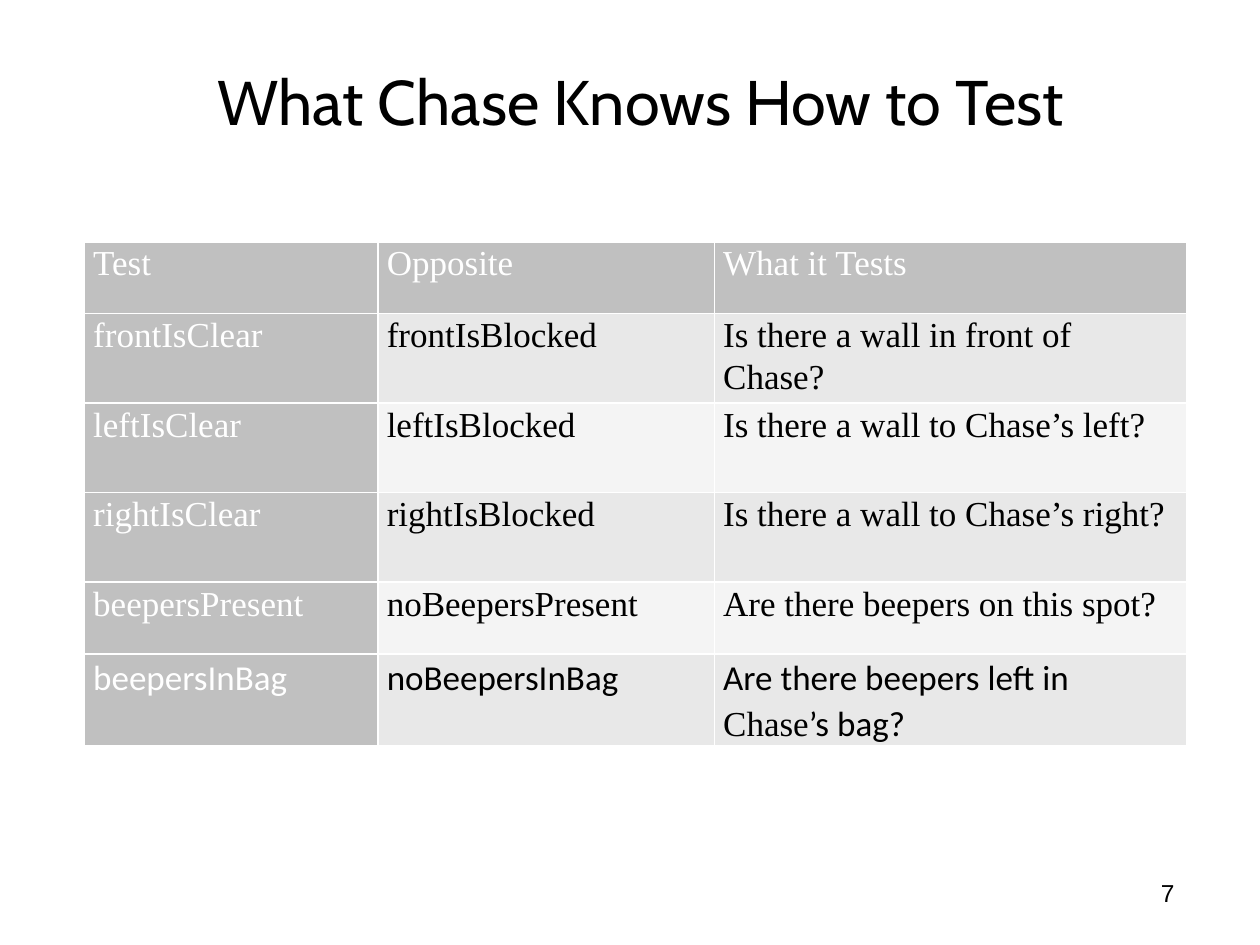
from lxml import etree
from pptx import Presentation
from pptx.dml.color import RGBColor
from pptx.enum.shapes import MSO_SHAPE
from pptx.enum.text import MSO_ANCHOR, PP_ALIGN
from pptx.oxml.ns import qn
from pptx.util import Inches, Pt

ROUND = MSO_SHAPE.ROUNDED_RECTANGLE
MID = MSO_ANCHOR.MIDDLE
CENTER, RIGHT = PP_ALIGN.CENTER, PP_ALIGN.RIGHT
COLORS = {"ink": "000000", "white": "FFFFFF", "head": "C0C0C0",
          "odd": "E8E8E8", "even": "F4F4F4"}
SERIF, SANS = "Times New Roman", "Calibri"

COLS = [2.33, 2.67, 3.75]
HEIGHTS = [0.57, 0.71, 0.71, 0.71, 0.57, 0.71]
# Each cell is a text, or a list of (text, font) runs
ROWS = [
    ["Test", "Opposite", "What it Tests"],
    ["frontIsClear", "frontIsBlocked", "Is there a wall in front of Chase?"],
    ["leftIsClear", "leftIsBlocked", "Is there a wall to Chase’s left?"],
    ["rightIsClear", "rightIsBlocked", "Is there a wall to Chase’s right?"],
    ["beepersPresent", "noBeepersPresent", "Are there beepers on this spot?"],
    [[("beepersInBag", SANS)], [("noBeepersInBag", SANS)],
     [("Are there beepers left in ", SANS), ("Chase", SERIF),
      ("’s bag?", SANS)]],
]


def rgb(name):
    return RGBColor.from_string(COLORS[name])


def style(run, font, size, color):
    run.font.name = font
    run.font.size = Pt(size)
    run.font.bold = False
    run.font.color.rgb = rgb(color)


def set_line(shape, text, font, size, align):
    frame = shape.text_frame
    frame.word_wrap = True
    frame.text = text
    para = frame.paragraphs[0]
    para.alignment = align
    style(para.runs[0], font, size, "ink")


def add_title(slide, box):
    shape = slide.shapes.add_shape(ROUND, *map(Inches, box))
    shape.shadow.inherit = False
    shape.fill.background()
    shape.line.fill.background()
    shape.text_frame.vertical_anchor = MID
    set_line(shape, "What Chase Knows How to Test", "Cabin", 36, CENTER)
    # Keep the text area as wide as the box
    shape.adjustments[0] = 0


def add_number(slide, box):
    shape = slide.shapes.add_textbox(*map(Inches, box))
    set_line(shape, "7", "Arial", 14, RIGHT)


def add_edges(cell):
    props = cell._tc.get_or_add_tcPr()
    for tag in ("lnL", "lnR", "lnT", "lnB"):
        line = etree.SubElement(props, qn(f"a:{tag}"), w=str(Pt(1)))
        fill = etree.SubElement(line, qn("a:solidFill"))
        etree.SubElement(fill, qn("a:srgbClr"), val=COLORS["white"])


def fill_cell(cell, item, back, color):
    cell.margin_left = cell.margin_right = Inches(0.07)
    cell.margin_top = cell.margin_bottom = 0
    add_edges(cell)
    cell.fill.solid()
    cell.fill.fore_color.rgb = rgb(back)
    para = cell.text_frame.paragraphs[0]
    para.line_spacing = 1.07
    for text, font in [(item, SERIF)] if isinstance(item, str) else item:
        run = para.add_run()
        run.text = text
        style(run, font, 20, color)


def add_tests(slide, box):
    table = slide.shapes.add_table(len(ROWS), len(COLS),
                                   *map(Inches, box)).table
    for col, width in zip(table.columns, COLS):
        col.width = Inches(width)
    for r, (row, height) in enumerate(zip(ROWS, HEIGHTS)):
        table.rows[r].height = Inches(height)
        band = "odd" if r % 2 else "even"
        for c, item in enumerate(row):
            head = r == 0 or c == 0
            fill_cell(table.cell(r, c), item, "head" if head else band,
                      "white" if head else "ink")


def main():
    deck = Presentation()
    deck.slide_width, deck.slide_height = Inches(10), Inches(7.5)
    slide = deck.slides.add_slide(deck.slide_layouts[6])
    # Table of tests
    add_tests(slide, (0.67, 1.92, sum(COLS), sum(HEIGHTS)))
    # Title and page number
    add_title(slide, (0.67, 0.17, 8.83, 1.25))
    add_number(slide, (7.17, 6.92, 2.25, 0.42))
    deck.save("out.pptx")


if __name__ == "__main__":
    main()
